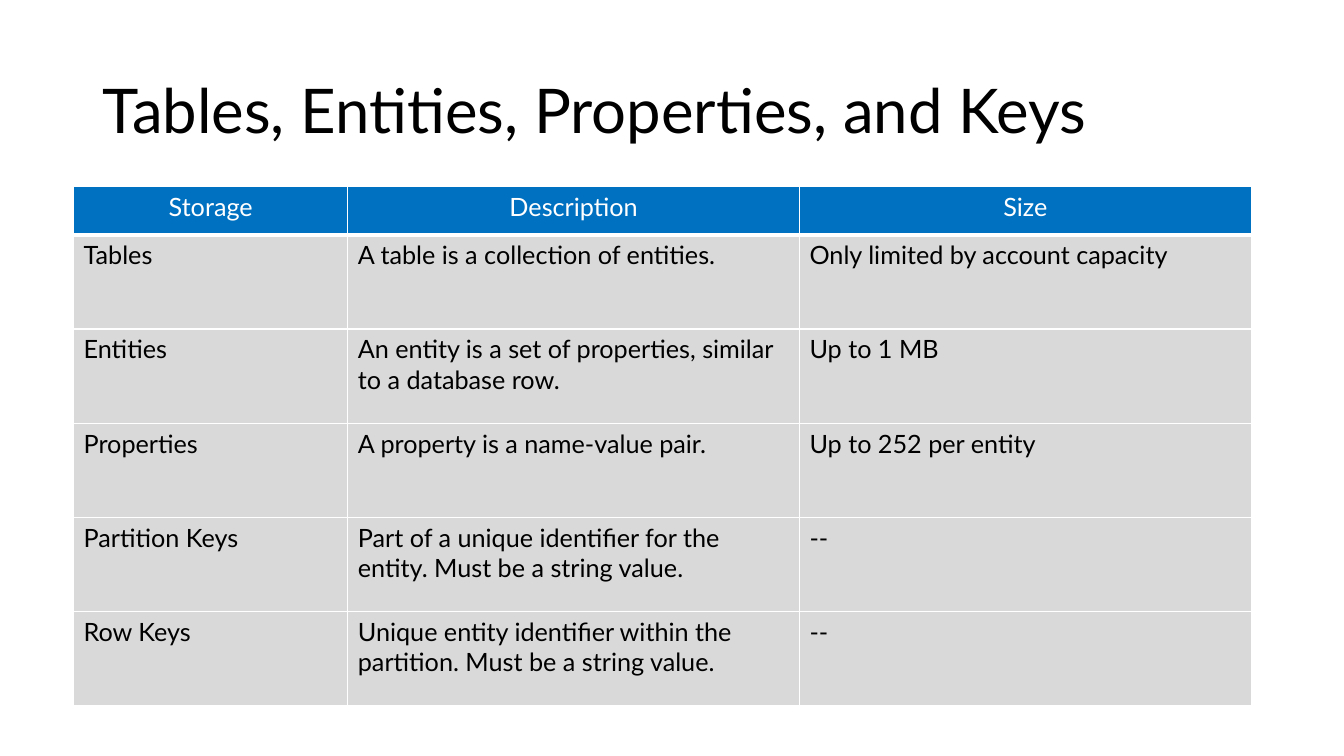
from dataclasses import dataclass

from lxml import etree
from pptx import Presentation
from pptx.dml.color import RGBColor
from pptx.enum.text import MSO_ANCHOR, PP_ALIGN
from pptx.oxml.ns import qn
from pptx.util import Inches, Pt

MIDDLE = MSO_ANCHOR.MIDDLE
LEFT, CENTER = PP_ALIGN.LEFT, PP_ALIGN.CENTER
BLANK_LAYOUT = 6


@dataclass(frozen=True)
class Theme:
    font: str = "Lato"
    title_size: int = 44
    table_size: int = 18
    text: str = "000000"
    header_text: str = "FFFFFF"
    header_fill: str = "0070C0"
    body_fill: str = "D9D9D9"
    rule: str = "FFFFFF"
    thin: int = 1
    thick: int = 3


THEME = Theme()

# Lengths in inches
SLIDE_WIDTH, SLIDE_HEIGHT = 13.33, 7.5
TITLE_BOX = (0.92, 0.4, 11.5, 1.45)
TABLE_LEFT, TABLE_TOP, TABLE_HEIGHT = 0.73, 1.85, 5.15
COLUMN_WIDTHS = (2.72, 4.48, 4.48)
HEADER_HEIGHT = 0.48

STORAGE_ROWS = (
    ("Storage", "Description", "Size"),
    ("Tables", "A table is a collection of entities.", "Only limited by account capacity"),
    ("Entities", "An entity is a set of properties, similar to a database row.", "Up to 1 MB"),
    ("Properties", "A property is a name-value pair.", "Up to 252 per entity"),
    ("Partition Keys", "Part of a unique identifier for the entity. Must be a string value.", "--"),
    ("Row Keys", "Unique entity identifier within the partition. Must be a string value.", "--"),
)


def style_paragraph(paragraph, size, color, align=LEFT):
    paragraph.alignment = align
    font = paragraph.font
    font.name, font.size, font.bold = THEME.font, Pt(size), False
    font.color.rgb = RGBColor.from_string(color)


def add_title(slide, wording):
    frame = slide.shapes.add_textbox(*map(Inches, TITLE_BOX)).text_frame
    frame.word_wrap = True
    frame.vertical_anchor = MIDDLE
    title = frame.paragraphs[0]
    title.text = wording
    title.line_spacing = 0.9
    style_paragraph(title, THEME.title_size, THEME.text)


def add_border(cell, side, width):
    line = etree.SubElement(cell._tc.get_or_add_tcPr(), qn(f"a:ln{side}"), w=str(Pt(width)))
    fill = etree.SubElement(line, qn("a:solidFill"))
    etree.SubElement(fill, qn("a:srgbClr"), val=THEME.rule)


def fill_cell(cell, wording, row):
    is_header = row == 0
    # Borders come before the fill in the cell properties
    widths = {
        "L": THEME.thin,
        "R": THEME.thin,
        "T": THEME.thick if row == 1 else THEME.thin,
        "B": THEME.thick if is_header else THEME.thin,
    }
    for side, width in widths.items():
        add_border(cell, side, width)
    cell.fill.solid()
    cell.fill.fore_color.rgb = RGBColor.from_string(
        THEME.header_fill if is_header else THEME.body_fill)
    cell.text = wording
    style_paragraph(cell.text_frame.paragraphs[0], THEME.table_size,
                    THEME.header_text if is_header else THEME.text,
                    CENTER if is_header else LEFT)


def add_storage_table(slide, rows):
    bounds = (TABLE_LEFT, TABLE_TOP, sum(COLUMN_WIDTHS), TABLE_HEIGHT)
    table = slide.shapes.add_table(
        len(rows), len(COLUMN_WIDTHS), *map(Inches, bounds)).table
    for column, width in zip(table.columns, COLUMN_WIDTHS):
        column.width = Inches(width)
    body_height = (TABLE_HEIGHT - HEADER_HEIGHT) / (len(rows) - 1)
    for row, wordings in enumerate(rows):
        table.rows[row].height = Inches(body_height if row else HEADER_HEIGHT)
        for column, wording in enumerate(wordings):
            fill_cell(table.cell(row, column), wording, row)


def main():
    deck = Presentation()
    deck.slide_width, deck.slide_height = Inches(SLIDE_WIDTH), Inches(SLIDE_HEIGHT)
    slide = deck.slides.add_slide(deck.slide_layouts[BLANK_LAYOUT])
    add_title(slide, "Tables, Entities, Properties, and Keys")
    add_storage_table(slide, STORAGE_ROWS)
    deck.save("out.pptx")


if __name__ == "__main__":
    main()
